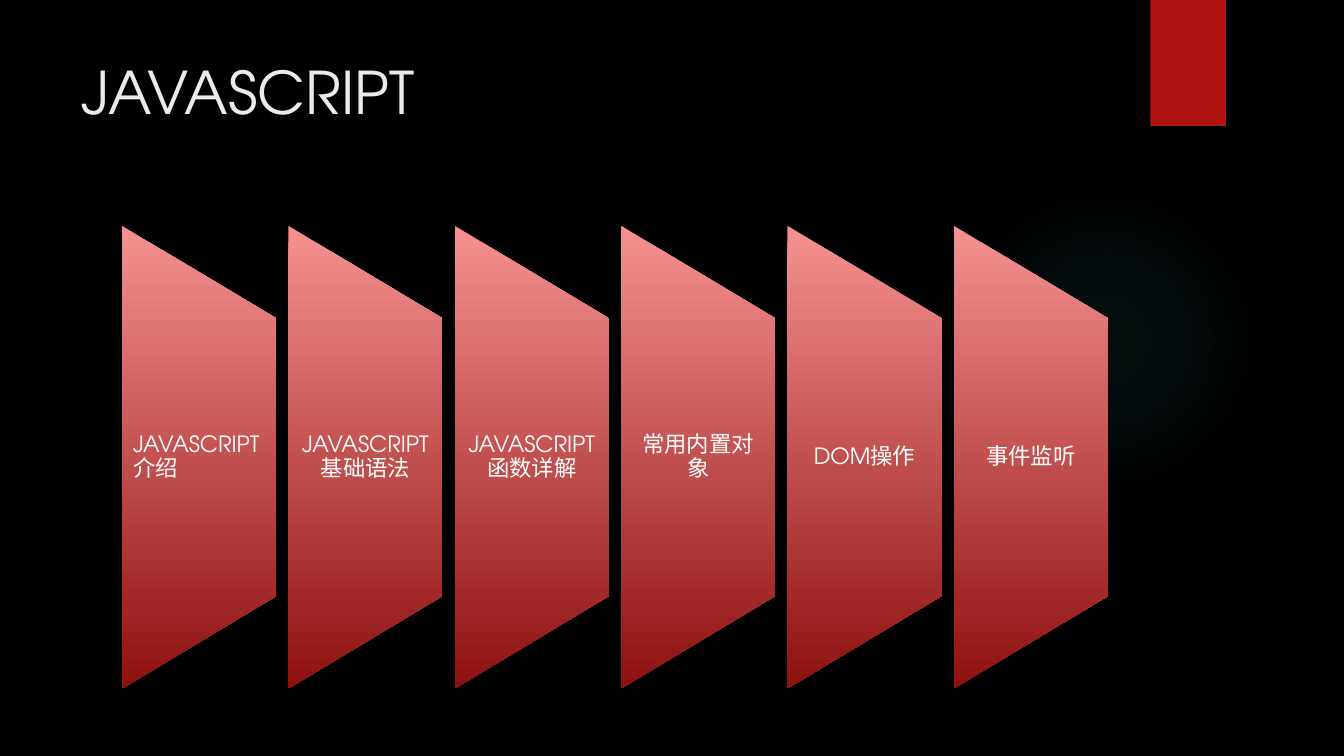
"""Build the JavaScript course outline slide."""
from dataclasses import dataclass

from pptx import Presentation
from pptx.dml.color import RGBColor
from pptx.enum.shapes import MSO_SHAPE
from pptx.enum.text import MSO_ANCHOR, PP_ALIGN
from pptx.oxml import parse_xml
from pptx.oxml.ns import nsdecls, qn
from pptx.util import Inches, Pt

RECTANGLE, ELLIPSE = MSO_SHAPE.RECTANGLE, MSO_SHAPE.OVAL
PANEL = MSO_SHAPE.FLOWCHART_MANUAL_OPERATION
TOP, MIDDLE = MSO_ANCHOR.TOP, MSO_ANCHOR.MIDDLE
LEFT, CENTER = PP_ALIGN.LEFT, PP_ALIGN.CENTER

TOPICS = ["JAVASCRIPT介绍", "JAVASCRIPT基础语法", "JAVASCRIPT函数详解",
          "常用内置对象", "DOM操作", "事件监听"]
PANEL_LEFT, PANEL_TOP, PANEL_PITCH = 1.21, 2.24, 1.65
PANEL_WIDTH, PANEL_HEIGHT = 1.53, 4.59
LABEL_TOP, LABEL_HEIGHT = 3.16, 2.75

LINEAR = '<a:lin ang="5400000" scaled="0"/>'
RADIAL = ('<a:path path="circle"><a:fillToRect l="50000" t="50000" '
          'r="50000" b="50000"/></a:path>')


@dataclass(frozen=True)
class Theme:
    """Colours, font and type sizes of the slide."""
    background: str = "000000"
    ribbon: str = "B01513"
    title: str = "EBEBEB"
    label: str = "FFFFFF"
    panel_stops: tuple = ((2, "F38F8D", 100), (100, "8D110F", 100))
    glow_stops: tuple = ((0, "50B9C1", 7), (36, "50B9C1", 6), (69, "50B9C1", 0))
    font: str = "TeX Gyre Adventor"
    title_size: int = 42
    label_size: int = 16


class SlideBuilder:
    """Draw styled elements on one slide."""

    def __init__(self, slide, theme):
        """Keep the slide and theme and paint the background."""
        self.slide = slide
        self.theme = theme
        fill = slide.background.fill
        fill.solid()
        fill.fore_color.rgb = RGBColor.from_string(theme.background)

    def shape(self, kind, left, top, width, height):
        """Add a preset shape without outline or shadow."""
        shape = self.slide.shapes.add_shape(
            kind, Inches(left), Inches(top), Inches(width), Inches(height))
        shape.shadow.inherit = False
        shape.line.fill.background()
        return shape

    def ribbon(self, left, top, width, height):
        """Add the solid corner ribbon."""
        shape = self.shape(RECTANGLE, left, top, width, height)
        shape.fill.solid()
        shape.fill.fore_color.rgb = RGBColor.from_string(self.theme.ribbon)

    def gradient(self, shape, stops, direction):
        """Fill a shape with a gradient fixed to the slide's axes."""
        stop_xml = "".join(
            f'<a:gs pos="{position * 1000}"><a:srgbClr val="{color}">'
            f'<a:alpha val="{opacity * 1000}"/></a:srgbClr></a:gs>'
            for position, color, opacity in stops)
        shape.fill.gradient()
        properties = shape.element.spPr
        properties.replace(properties.find(qn("a:gradFill")), parse_xml(
            f'<a:gradFill {nsdecls("a")} rotWithShape="0">'
            f'<a:gsLst>{stop_xml}</a:gsLst>{direction}</a:gradFill>'))

    def glow(self, left, top, diameter):
        """Add a faint round glow."""
        shape = self.shape(ELLIPSE, left, top, diameter, diameter)
        self.gradient(shape, self.theme.glow_stops, RADIAL)

    def panel(self, left, top, width, height):
        """Add a panel tapering to the right, given its visible box."""
        shift = (height - width) / 2
        shape = self.shape(PANEL, left - shift, top + shift, height, width)
        shape.rotation = 270
        self.gradient(shape, self.theme.panel_stops, LINEAR)

    def text(self, text, box, size, color, anchor=TOP, alignment=LEFT,
             margins=(0.1, 0.05), line_spacing=1.0):
        """Add a wrapped one-paragraph text box."""
        text_box = self.slide.shapes.add_textbox(*map(Inches, box))
        frame = text_box.text_frame
        frame.text = text
        frame.word_wrap = True
        frame.vertical_anchor = anchor
        frame.margin_left = frame.margin_right = Inches(margins[0])
        frame.margin_top = frame.margin_bottom = Inches(margins[1])
        paragraph = frame.paragraphs[0]
        paragraph.alignment = alignment
        paragraph.line_spacing = line_spacing
        font = paragraph.runs[0].font
        font.name = self.theme.font
        font.size = Pt(size)
        font.color.rgb = RGBColor.from_string(color)


def main():
    """Build and save the presentation."""
    presentation = Presentation()
    presentation.slide_width = Inches(13.33)
    presentation.slide_height = Inches(7.5)
    slide = presentation.slides.add_slide(presentation.slide_layouts[6])
    theme = Theme()
    builder = SlideBuilder(slide, theme)
    builder.glow(9.41, 1.83, 3.08)
    builder.ribbon(11.41, 0, 0.75, 1.25)
    builder.text("JAVASCRIPT", (0.71, 0.5, 10.29, 1.53),
                 theme.title_size, theme.title)
    for index, topic in enumerate(TOPICS):
        left = PANEL_LEFT + index * PANEL_PITCH
        builder.panel(left, PANEL_TOP, PANEL_WIDTH, PANEL_HEIGHT)
        builder.text(topic, (left, LABEL_TOP, PANEL_WIDTH, LABEL_HEIGHT),
                     theme.label_size, theme.label, MIDDLE,
                     CENTER if index else LEFT, (0.11, 0), 0.9)
    presentation.save("out.pptx")


if __name__ == "__main__":
    main()
